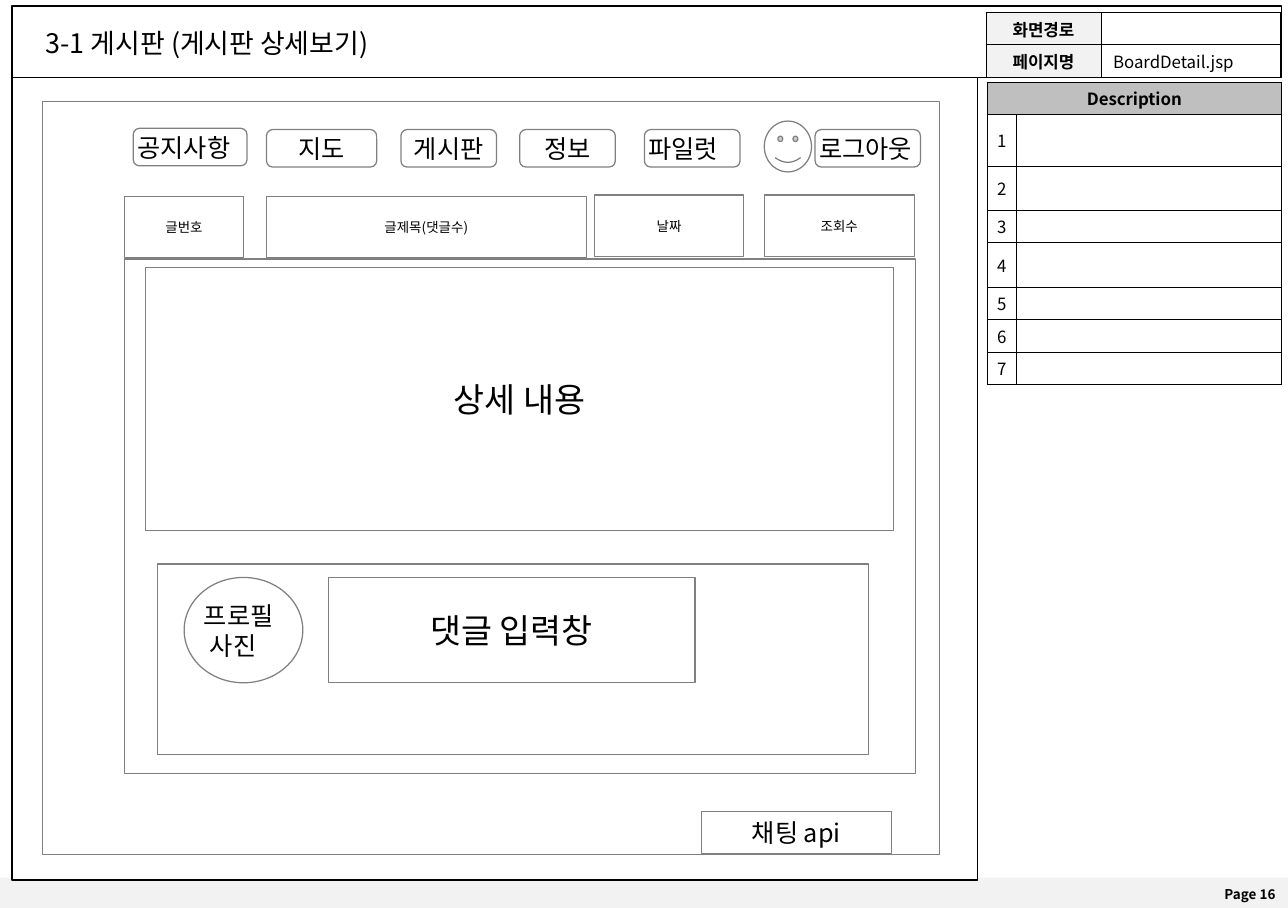
from dataclasses import dataclass

from lxml.etree import SubElement
from pptx import Presentation
from pptx.dml.color import RGBColor
from pptx.enum.shapes import MSO_SHAPE
from pptx.enum.text import MSO_ANCHOR, PP_ALIGN
from pptx.oxml.ns import qn
from pptx.util import Cm, Inches, Pt


@dataclass(frozen=True)
class Theme:
    font: str = "Noto Sans CJK KR"
    ink: str = "000000"
    outline: str = "808080"
    paper: str = "FFFFFF"
    pale: str = "F2F2F2"
    heading: str = "BFBFBF"
    small: int = 8
    table: int = 10
    menu: int = 15
    title: int = 16
    large: int = 20
    line: float = 0.75
    border: float = 0.45


THEME = Theme()
LEFT, CENTER, RIGHT = PP_ALIGN.LEFT, PP_ALIGN.CENTER, PP_ALIGN.RIGHT

# Content: places are (column, row, columns, rows) on a grid of 100 cells to the inch
SLIDE = {"slide_width": Cm(27.01), "slide_height": Cm(19.05)}
CELLS_PER_INCH = 100

FRAMES = [  # place, fill, line
    ((-1, 725, 1065, 25), THEME.pale, None),
    ((10, 64, 797, 663), THEME.paper, THEME.ink),
    ((10, 5, 1048, 59), None, THEME.ink),
    ((35, 84, 741, 622), None, THEME.outline),
]
LABELS = [  # text, place, size, bold, alignment, anchor
    ("3-1 게시판 (게시판 상세보기)", (28, 17, 685, 37), THEME.title, False, LEFT, MSO_ANCHOR.TOP),
    ("Page 16", (489, 726, 574, 25), THEME.small, True, RIGHT, MSO_ANCHOR.MIDDLE),
]
MENU_ROW, MENU_HEIGHT = 107, 31
MENU = [  # text, column, columns, alignment, rows moved
    ("공지사항", 110, 94, LEFT, -1),
    ("지도", 220, 91, CENTER, 0),
    ("게시판", 331, 79, CENTER, 0),
    ("정보", 429, 79, CENTER, 0),
    ("파일럿", 532, 79, LEFT, 0),
    ("로그아웃", 673, 87, LEFT, 0),
]
POST_HEIGHT = 51
POST_FIELDS = [  # text, column, row, columns
    ("글번호", 103, 162, 98),
    ("글제목(댓글수)", 220, 162, 264),
    ("날짜", 491, 161, 123),
    ("조회수", 631, 161, 124),
]
PANELS = [  # shape, place, text, size
    (MSO_SHAPE.RECTANGLE, (579, 670, 157, 35), "채팅 api", THEME.menu),
    (MSO_SHAPE.SMILEY_FACE, (631, 100, 39, 42), "", THEME.menu),
    (MSO_SHAPE.FLOWCHART_PROCESS, (103, 214, 653, 425), "", THEME.large),
    (MSO_SHAPE.FLOWCHART_PROCESS, (120, 221, 618, 217), "상세 내용", THEME.large),
    (MSO_SHAPE.FLOWCHART_PROCESS, (130, 466, 587, 157), "", THEME.large),
    (MSO_SHAPE.RECTANGLE, (271, 477, 303, 87), "댓글 입력창", THEME.large),
]
PROFILE = ("프로필\n사진", (152, 477, 98, 87))
PROFILE_INDENT = 5

DESCRIPTION = [["Description", ""]] + [[str(number), ""] for number in range(1, 8)]
DESCRIPTION_GRID = ((815, 68), (24, 219), (26.5, 43, 36, 27, 36.5, 27, 27, 27))
PATH_ROWS = [["화면경로", ""], ["페이지명", "BoardDetail.jsp"]]
PATH_GRID = ((814, 10.5), (95, 148), (26.5, 26.5))


# Geometry and formatting
def cells(count):
    return Inches(count / CELLS_PER_INCH)


def place_on_grid(place):
    return [cells(count) for count in place]


def apply(target, values):
    for name, value in values.items():
        setattr(target, name, value)


def write(frame, text, size, align=CENTER, bold=False):
    for index, line in enumerate(text.split("\n")):
        para = frame.add_paragraph() if index else frame.paragraphs[0]
        para.alignment = align
        span = para.add_run()
        span.text = line
        apply(span.font, {"name": THEME.font, "size": Pt(size), "bold": bold})
        span.font.color.rgb = RGBColor.from_string(THEME.ink)
        SubElement(span.font._element, qn("a:ea"), typeface=THEME.font)


def paint(fill, color):
    if color:
        fill.solid()
        fill.fore_color.rgb = RGBColor.from_string(color)
    else:
        fill.background()


def add_box(page, kind, place, fill, line, text="", size=THEME.menu, align=CENTER):
    box = page.shapes.add_shape(kind, *place_on_grid(place))
    box.shadow.inherit = False
    paint(box.fill, fill)
    paint(box.line.fill, line)
    if line:
        box.line.width = Pt(THEME.line)
    if text:
        inset = Inches(0.02)
        apply(box.text_frame, {
            "margin_left": inset, "margin_right": inset, "margin_top": inset,
            "margin_bottom": inset, "word_wrap": False, "vertical_anchor": MSO_ANCHOR.MIDDLE,
        })
        write(box.text_frame, text, size, align)
    return box


def add_label(page, text, place, size, bold, align, anchor):
    frame = page.shapes.add_textbox(*place_on_grid(place)).text_frame
    apply(frame, {"word_wrap": True, "vertical_anchor": anchor})
    write(frame, text, size, align, bold)


def draw_borders(cell):
    properties = cell._tc.get_or_add_tcPr()
    for side in ("lnL", "lnR", "lnT", "lnB"):
        edge = SubElement(properties, qn(f"a:{side}"), w=str(int(Pt(THEME.border))))
        SubElement(SubElement(edge, qn("a:solidFill")), qn("a:srgbClr"), val=THEME.ink)


def add_grid_table(page, texts, grid, side_inset, look):
    corner, widths, heights = grid
    place = (*corner, sum(widths), sum(heights))
    table = page.shapes.add_table(len(heights), len(widths), *place_on_grid(place)).table
    apply(table, {"first_row": False, "horz_banding": False})
    for index, width in enumerate(widths):
        table.columns[index].width = cells(width)
    for index, height in enumerate(heights):
        table.rows[index].height = cells(height)
    for r, line in enumerate(texts):
        for c, text in enumerate(line):
            cell = table.cell(r, c)
            fill, bold, align = look(r, c)
            apply(cell, {
                "margin_left": Inches(side_inset), "margin_right": Inches(side_inset),
                "margin_top": Inches(0.03), "margin_bottom": Inches(0.03),
                "vertical_anchor": MSO_ANCHOR.MIDDLE,
            })
            draw_borders(cell)
            paint(cell.fill, fill)
            if text:
                write(cell.text_frame, text, THEME.table, align, bold)
            else:
                para = cell.text_frame.paragraphs[0]
                SubElement(para._p, qn("a:endParaRPr"), sz=str(THEME.table * 100))
    return table


def description_look(row, column):
    return (None if row else THEME.heading), row == 0, CENTER


def path_look(row, column):
    return (None, False, LEFT) if column else (THEME.pale, True, CENTER)


def main():
    deck = Presentation()
    apply(deck, SLIDE)
    page = deck.slides.add_slide(deck.slide_layouts[6])

    # Page frames, title and side tables
    for place, fill, line in FRAMES:
        add_box(page, MSO_SHAPE.RECTANGLE, place, fill, line)
    description = add_grid_table(page, DESCRIPTION, DESCRIPTION_GRID, 0.04, description_look)
    description.cell(0, 0).merge(description.cell(0, 1))
    add_grid_table(page, PATH_ROWS, PATH_GRID, 0.1, path_look)
    for label in LABELS:
        add_label(page, *label)

    # Menu, post fields and panels
    colors = (THEME.paper, THEME.outline)
    for text, column, columns, align, moved in MENU:
        place = (column, MENU_ROW + moved, columns, MENU_HEIGHT)
        add_box(page, MSO_SHAPE.ROUNDED_RECTANGLE, place, *colors, text, THEME.menu, align)
    for text, column, row, columns in POST_FIELDS:
        place = (column, row, columns, POST_HEIGHT)
        add_box(page, MSO_SHAPE.RECTANGLE, place, *colors, text, THEME.small)
    for kind, place, text, size in PANELS:
        add_box(page, kind, place, *colors, text, size)
    text, place = PROFILE
    profile = add_box(page, MSO_SHAPE.OVAL, place, *colors, text, THEME.menu, LEFT)
    second = profile.text_frame.paragraphs[1]
    second._p.get_or_add_pPr().set("marL", str(int(cells(PROFILE_INDENT))))

    deck.save("out.pptx")


if __name__ == "__main__":
    main()
